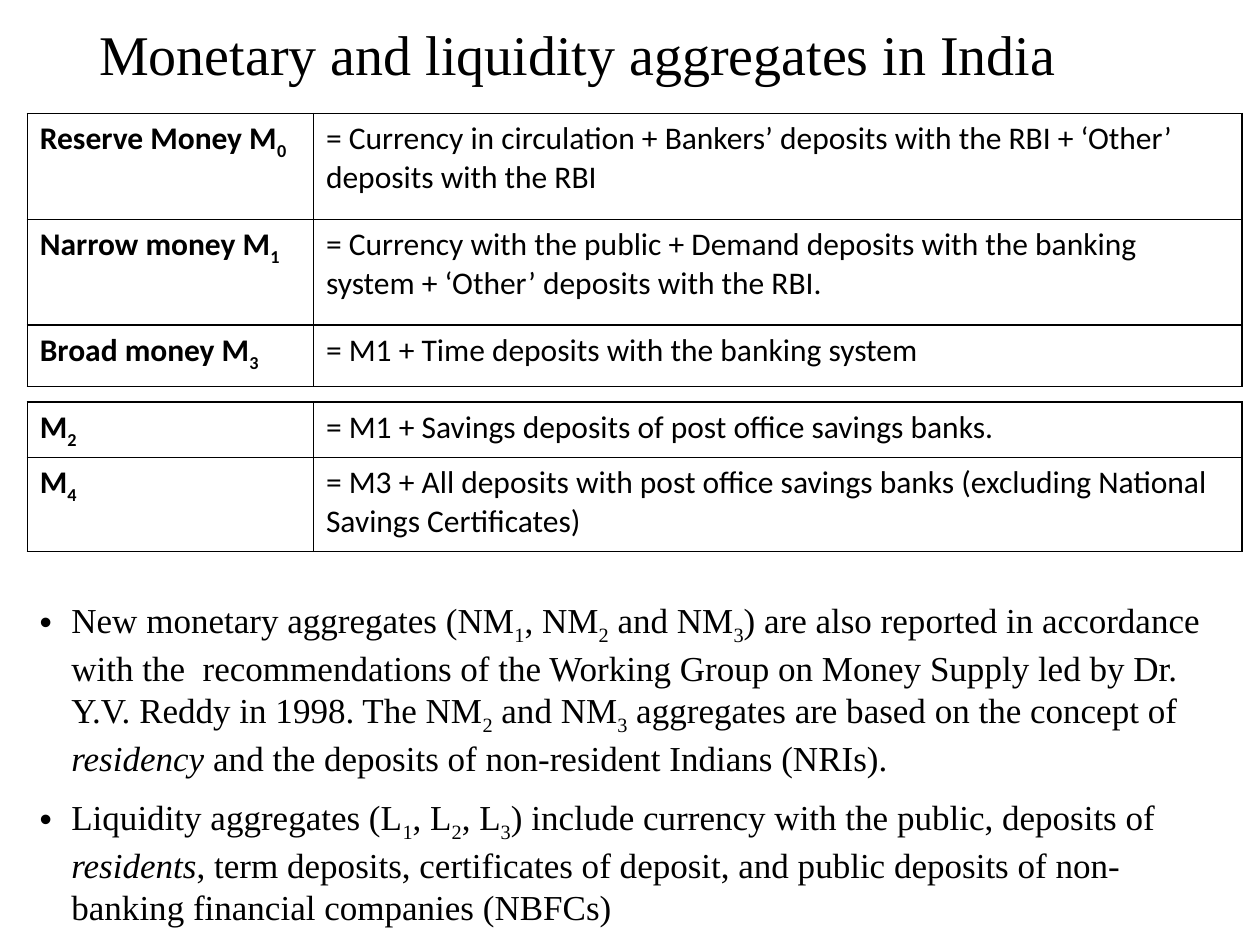
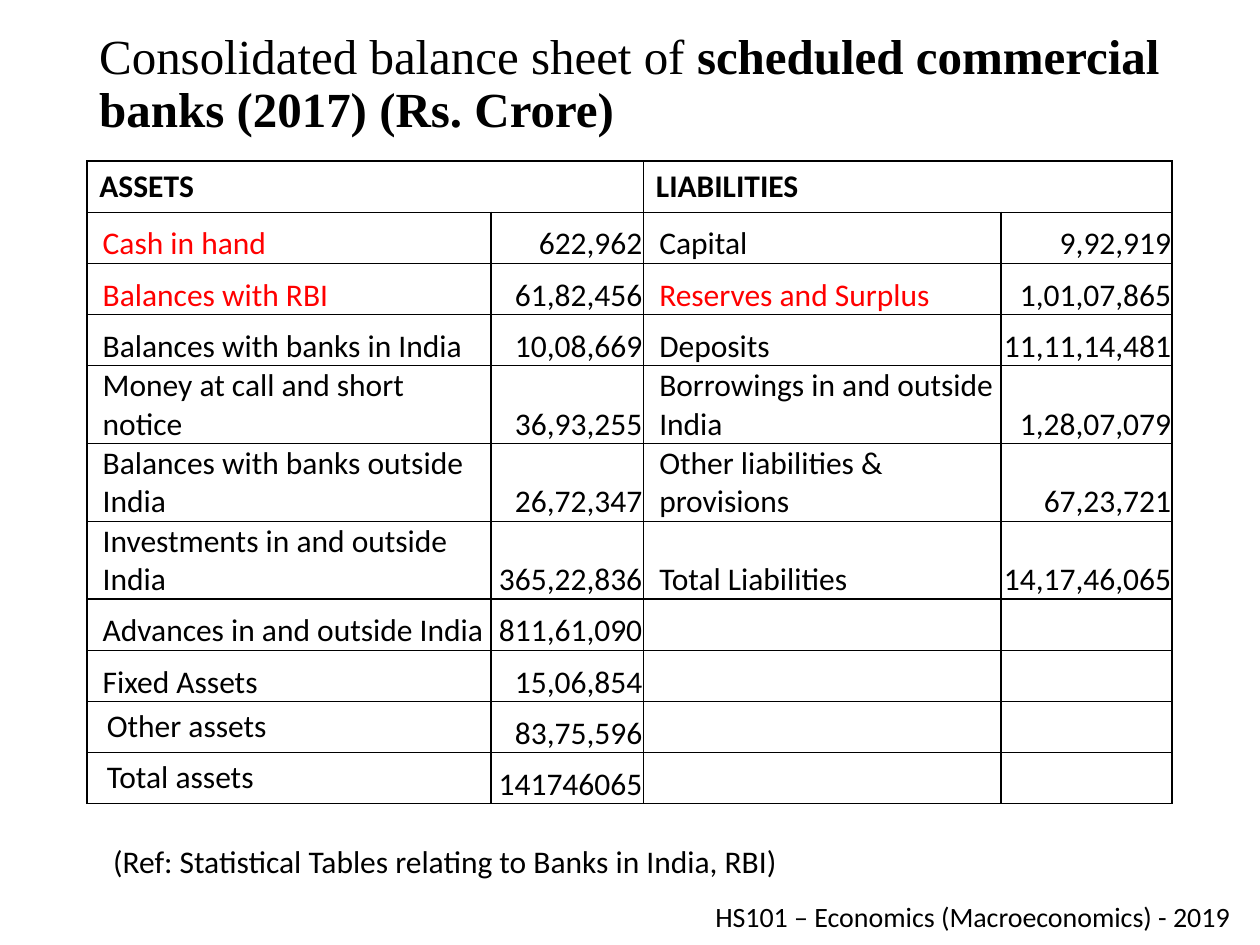
from lxml import etree
from pptx import Presentation
from pptx.dml.color import RGBColor
from pptx.enum.text import MSO_ANCHOR, PP_ALIGN
from pptx.oxml.ns import qn
from pptx.util import Cm, Pt

MIDDLE, TOP, BOTTOM = MSO_ANCHOR.MIDDLE, MSO_ANCHOR.TOP, MSO_ANCHOR.BOTTOM
RIGHT = PP_ALIGN.RIGHT


class Theme:
    ink = RGBColor(0, 0, 0)
    red = RGBColor(255, 0, 0)
    rule = Pt(1)
    head = {"name": "Times New Roman", "size": Pt(32)}
    subhead = {"name": "Times New Roman", "size": Pt(28)}
    body = {"name": "Times New Roman", "size": Pt(20)}
    cell = {"name": "Calibri", "size": Pt(18)}
    foot = {"name": "Calibri", "size": Pt(16)}


MARKS = {"*": "bold", "/": "italic", "_": "sub", "!": "red"}


def write(frame, lines, font, para):
    """Fill a frame; "|" splits runs, and leading MARKS style each run."""
    for n, line in enumerate(lines):
        p = frame.add_paragraph() if n else frame.paragraphs[0]
        for key, val in para.items():
            setattr(p, key, val)
        for piece in line.split("|"):
            marks = set()
            while piece[:1] in MARKS:
                marks.add(MARKS[piece[0]])
                piece = piece[1:]
            run = p.add_run()
            run.text = piece
            look = {**font, "bold": "bold" in marks, "italic": "italic" in marks}
            for key, val in look.items():
                setattr(run.font, key, val)
            run.font.color.rgb = Theme.red if "red" in marks else Theme.ink
            if "sub" in marks:
                run._r.get_or_add_rPr().set("baseline", "-25000")


def grid(slide, left, top, cols, rows, data):
    """Add a plain table with thin black rules and return it."""
    frame = slide.shapes.add_table(
        len(rows), len(cols), Cm(left), Cm(top), Cm(sum(cols)), Cm(sum(rows)))
    table = frame.table
    table.first_row = table.horz_banding = False
    for col, wide in zip(table.columns, cols):
        col.width = Cm(wide)
    for row, high, texts in zip(table.rows, rows, data):
        row.height = Cm(high)
        for cell, text in zip(row.cells, texts):
            cell.fill.background()
            if text:
                write(cell.text_frame, [text], Theme.cell, {})
            props = cell._tc.get_or_add_tcPr()
            for n, side in enumerate(("lnL", "lnR", "lnT", "lnB")):
                line = etree.Element(qn("a:" + side), w=str(Theme.rule))
                fill = etree.SubElement(line, qn("a:solidFill"))
                etree.SubElement(fill, qn("a:srgbClr"), val=str(Theme.ink))
                props.insert(n, line)
    return table


deck = Presentation()
deck.slide_width, deck.slide_height = Cm(25.4), Cm(19.05)
blank = deck.slide_layouts[6]
money = deck.slides.add_slide(blank)
sheet = deck.slides.add_slide(blank)

# Text on both slides: slide, place in cm, anchor, font, paragraph format, lines
tight = {"line_spacing": 0.9}
points = [
    "New monetary aggregates (NM|_1|, NM|_2| and NM|_3|) are also reported in "
    "accordance with the  recommendations of the Working Group on Money Supply "
    "led by Dr. Y.V. Reddy in 1998. The NM|_2| and NM|_3| aggregates are based "
    "on the concept of |/residency| and the deposits of non-resident Indians (NRIs).",
    "Liquidity aggregates (L|_1|, L|_2|, L|_3|) include currency with the public, "
    "deposits of |/residents|, term deposits, certificates of deposit, and public "
    "deposits of non-banking financial companies (NBFCs)",
]
texts = [
    (money, (1.75, 0.33, 21.9, 1.65), MIDDLE, Theme.head, tight,
     ["Monetary and liquidity aggregates in India"]),
    (money, (0.55, 11.94, 24.45, 7.06), TOP, Theme.body,
     {"space_before": Pt(10)}, points),
    (sheet, (1.75, 0.89, 21.9, 1.65), MIDDLE, Theme.subhead, tight,
     ["Consolidated balance sheet of |*scheduled commercial banks (2017) (Rs. Crore)"]),
    (sheet, (2.03, 16.84, 21.36, 1.02), TOP, Theme.cell, {},
     ["(Ref: Statistical Tables relating to Banks in India, RBI)"]),
    (sheet, (14.17, 18.01, 11.18, 1.04), TOP, Theme.foot, {},
     ["HS101 – Economics (Macroeconomics) - 2019"]),
]
for slide, place, anchor, font, para, lines in texts:
    frame = slide.shapes.add_textbox(*map(Cm, place)).text_frame
    frame.word_wrap = True
    frame.vertical_anchor = anchor
    write(frame, lines, font, para)
    if lines is points:
        for p in frame.paragraphs:
            props = p._p.get_or_add_pPr()
            props.set("marL", str(Cm(0.64)))
            props.set("indent", str(Cm(-0.64)))
            etree.SubElement(props, qn("a:buFont"), typeface="Arial")
            etree.SubElement(props, qn("a:buChar"), char="•")

# Definitions of money
cols = (5.77, 18.72)
grid(money, 0.55, 2.29, cols, (2.13, 2.13, 1.24), [
    ("*Reserve Money M|*_0", "= Currency in circulation + Bankers’ deposits "
     "with the RBI + ‘Other’ deposits with the RBI"),
    ("*Narrow money M|*_1", "= Currency with the public + Demand deposits "
     "with the banking system + ‘Other’ deposits with the RBI."),
    ("*Broad money M|*_3", "= M1 + Time deposits with the banking system"),
])
grid(money, 0.55, 8.1, cols, (1.12, 1.9), [
    ("*M|*_2", "= M1 + Savings deposits of post office savings banks."),
    ("*M|*_4", "= M3 + All deposits with post office savings banks "
     "(excluding National Savings Certificates)"),
])

# Balance sheet
single, double = 1.03, 1.57
rows = [single] * 4 + [double] * 3 + [single] * 4
table = grid(sheet, 1.75, 3.25, (8.15, 3.07, 7.21, 3.45), rows, [
    ("*ASSETS", "", "*LIABILITIES", ""),
    ("!Cash in hand", "622,962", "Capital", "9,92,919"),
    ("!Balances with RBI", "61,82,456", "!Reserves and Surplus", "1,01,07,865"),
    ("Balances with banks in India", "10,08,669", "Deposits", "11,11,14,481"),
    ("Money at call and short notice", "36,93,255",
     "Borrowings in and outside India", "1,28,07,079"),
    ("Balances with banks outside India", "26,72,347",
     "Other liabilities & provisions", "67,23,721"),
    ("Investments in and outside India", "365,22,836",
     "Total Liabilities", "14,17,46,065"),
    ("Advances in and outside India", "811,61,090", "", ""),
    ("Fixed Assets", "15,06,854", "", ""),
    ("Other assets", "83,75,596", "", ""),
    ("Total assets", "141746065", "", ""),
])
thin = {"margin_left": Cm(0.02), "margin_right": Cm(0.02),
        "margin_top": Cm(0.02), "margin_bottom": 0}
for r, row in enumerate(table.rows):
    for c, cell in enumerate(row.cells):
        cell.vertical_anchor = BOTTOM
        if r == 0 or not cell.text:
            continue
        p = cell.text_frame.paragraphs[0]
        roomy = c == 0 and r > 8
        if c % 2:
            p.alignment = RIGHT
        else:
            p._p.get_or_add_pPr().set("marL", str(Cm(0.15 if roomy else 0.3)))
        if not roomy:
            for key, val in thin.items():
                setattr(cell, key, val)
for c in (0, 2):
    table.cell(0, c).merge(table.cell(0, c + 1))

deck.save("out.pptx")
